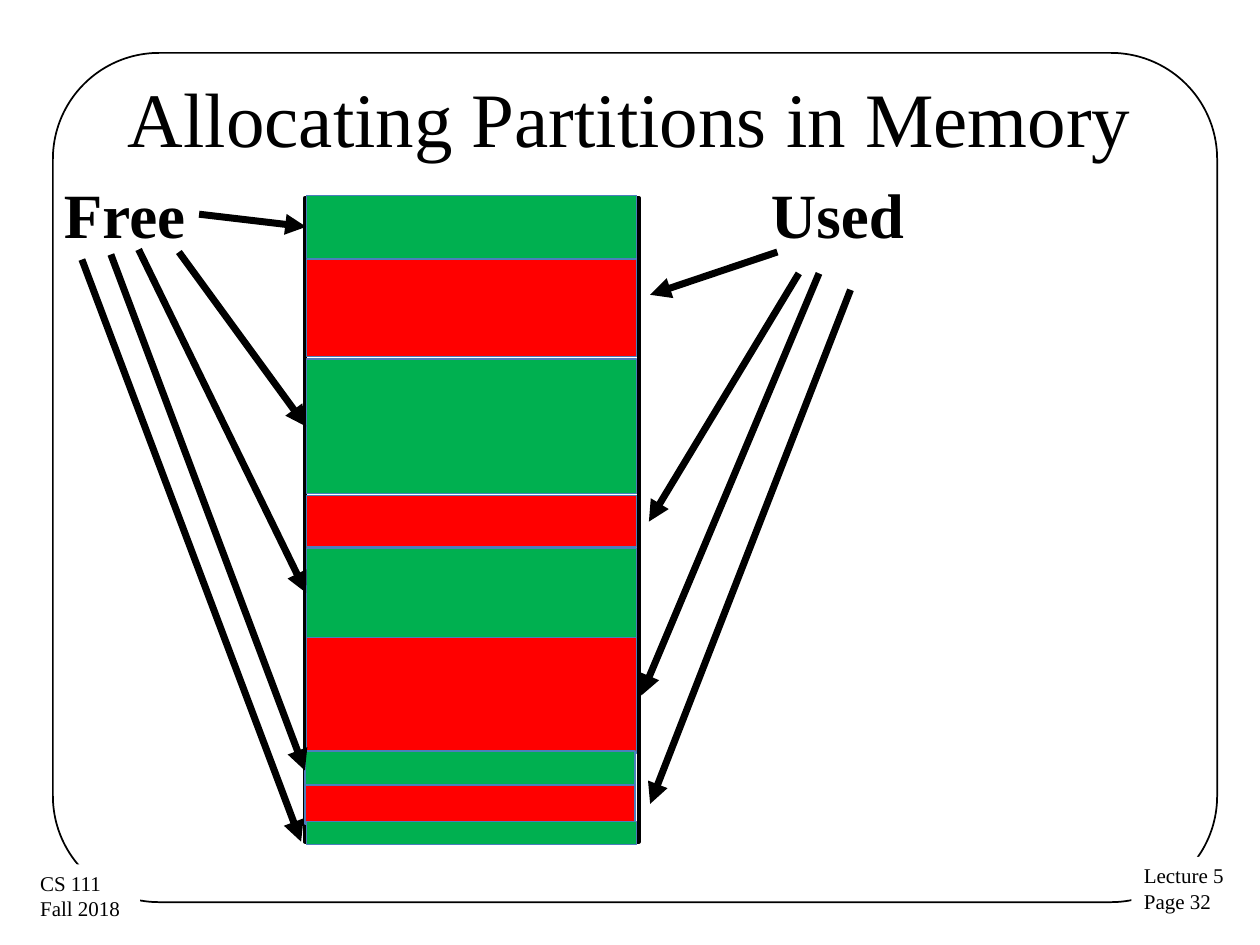
from dataclasses import dataclass
from typing import Optional

import pptx
import pptx.dml.color
import pptx.enum.shapes
import pptx.enum.text
import pptx.oxml
import pptx.oxml.ns
import pptx.util

SCALE = 9144  # EMU per px, 100 px to the inch
KIND = pptx.enum.shapes.MSO_SHAPE
ALIGN = pptx.enum.text.PP_ALIGN
ANCHOR = pptx.enum.text.MSO_ANCHOR


@dataclass(frozen=True)
class Theme:
    font: str = "Times New Roman"
    ink: str = "000000"
    paper: str = "FFFFFF"
    free: str = "00B050"
    used: str = "FF0000"
    edge: str = "4B7EBC"
    title: int = 44
    label: int = 36
    small: int = 12


@dataclass(frozen=True)
class Box:
    left: int
    top: int
    width: int
    height: int


@dataclass(frozen=True)
class Block:
    left: int
    top: int
    height: int
    free: bool


@dataclass(frozen=True)
class Arrow:
    x: int
    y: int
    to_x: int
    to_y: int
    block: Optional[int] = None  # block whose left side it joins


THEME = Theme()
WIDTH = 262  # of every block

BLOCKS = [
    Block(243, 155, 50, True),
    Block(243, 206, 77, False),
    Block(243, 285, 107, True),
    Block(243, 393, 41, False),
    Block(243, 435, 71, True),
    Block(243, 506, 92, False),
    Block(242, 596, 31, True),
    Block(242, 623, 31, False),
    Block(243, 652, 18, True),
]

ARROWS = [
    # From "Free"
    Arrow(158, 170, 241, 180, 0),
    Arrow(142, 200, 241, 338, 2),
    Arrow(110, 198, 241, 471, 4),
    Arrow(88, 202, 242, 611, 6),
    Arrow(65, 206, 239, 668),
    # From "Used"
    Arrow(617, 200, 516, 234),
    Arrow(634, 217, 515, 414),
    Arrow(650, 217, 509, 552),
    Arrow(675, 230, 516, 638),
]


def px(n: int) -> int:
    return pptx.util.Emu(n * SCALE)


def rgb(code: str) -> pptx.dml.color.RGBColor:
    return pptx.dml.color.RGBColor.from_string(code)


def shape(slide, box: Box, kind=KIND.RECTANGLE, fill: Optional[str] = None,
          line: Optional[str] = None, weight: float = 1):
    item = slide.shapes.add_shape(kind, px(box.left), px(box.top),
                                  px(box.width), px(box.height))
    item.shadow.inherit = False
    if fill:
        item.fill.solid()
        item.fill.fore_color.rgb = rgb(fill)
    else:
        item.fill.background()
    if line:
        item.line.color.rgb = rgb(line)
        item.line.width = pptx.util.Pt(weight)
    else:
        item.line.fill.background()
    return item


def text(slide, box: Box, words: str, *, size: int, bold: bool = False,
         align=ALIGN.LEFT, anchor=ANCHOR.TOP, wrap: bool = False,
         fill: Optional[str] = None) -> None:
    item = slide.shapes.add_textbox(px(box.left), px(box.top),
                                    px(box.width), px(box.height))
    if fill:
        item.fill.solid()
        item.fill.fore_color.rgb = rgb(fill)
    frame = item.text_frame
    frame.word_wrap = wrap
    frame.vertical_anchor = anchor
    frame.text = words
    for para in frame.paragraphs:
        para.alignment = align
        para.font.name = THEME.font
        para.font.size = pptx.util.Pt(size)
        para.font.bold = bold
        para.font.color.rgb = rgb(THEME.ink)


def arrow(slide, spec_: Arrow, blocks: list) -> None:
    item = slide.shapes.add_connector(
        pptx.enum.shapes.MSO_CONNECTOR.STRAIGHT,
        px(spec_.x), px(spec_.y), px(spec_.to_x), px(spec_.to_y))
    if spec_.block is not None:
        item.end_connect(blocks[spec_.block], 1)
    item.line.color.rgb = rgb(THEME.ink)
    item.line.width = pptx.util.Pt(4)
    # Arrowhead at the end, and no shadow
    props = item.line._get_or_add_ln()
    tip = pptx.oxml.ns.qn("a:tailEnd")
    props.append(props.makeelement(tip, {"type": "triangle"}))
    parent = props.getparent()
    parent.append(parent.makeelement(pptx.oxml.ns.qn("a:effectLst"), {}))


def main() -> None:
    deck = pptx.Presentation()
    deck.slide_width, deck.slide_height = px(1000), px(750)
    slide = deck.slides.add_slide(deck.slide_layouts[6])

    # Frame and footers
    frame = shape(slide, Box(42, 42, 924, 674), KIND.ROUNDED_RECTANGLE,
                  line=THEME.ink)
    frame.adjustments[0] = 0.125
    text(slide, Box(898, 680, 85, 51), "Lecture 5\nPage 32",
         size=THEME.small, fill=THEME.paper)
    text(slide, Box(22, 686, 89, 51), "CS 111\nFall 2018",
         size=THEME.small, fill=THEME.paper)

    # Title
    text(slide, Box(50, 30, 900, 125), "Allocating Partitions in Memory",
         size=THEME.title, align=ALIGN.CENTER, anchor=ANCHOR.MIDDLE, wrap=True)

    # Memory and its partitions
    shape(slide, Box(242, 157, 265, 511), line=THEME.ink, weight=2.25)
    blocks = [shape(slide, Box(b.left, b.top, WIDTH, b.height),
                    fill=THEME.free if b.free else THEME.used,
                    line=THEME.edge, weight=0.75) for b in BLOCKS]

    # Labels and arrows
    text(slide, Box(41, 134, 117, 71), "Free", size=THEME.label, bold=True)
    text(slide, Box(602, 134, 127, 71), "Used", size=THEME.label, bold=True)
    for item in ARROWS:
        arrow(slide, item, blocks)

    deck.save("out.pptx")


if __name__ == "__main__":
    main()
